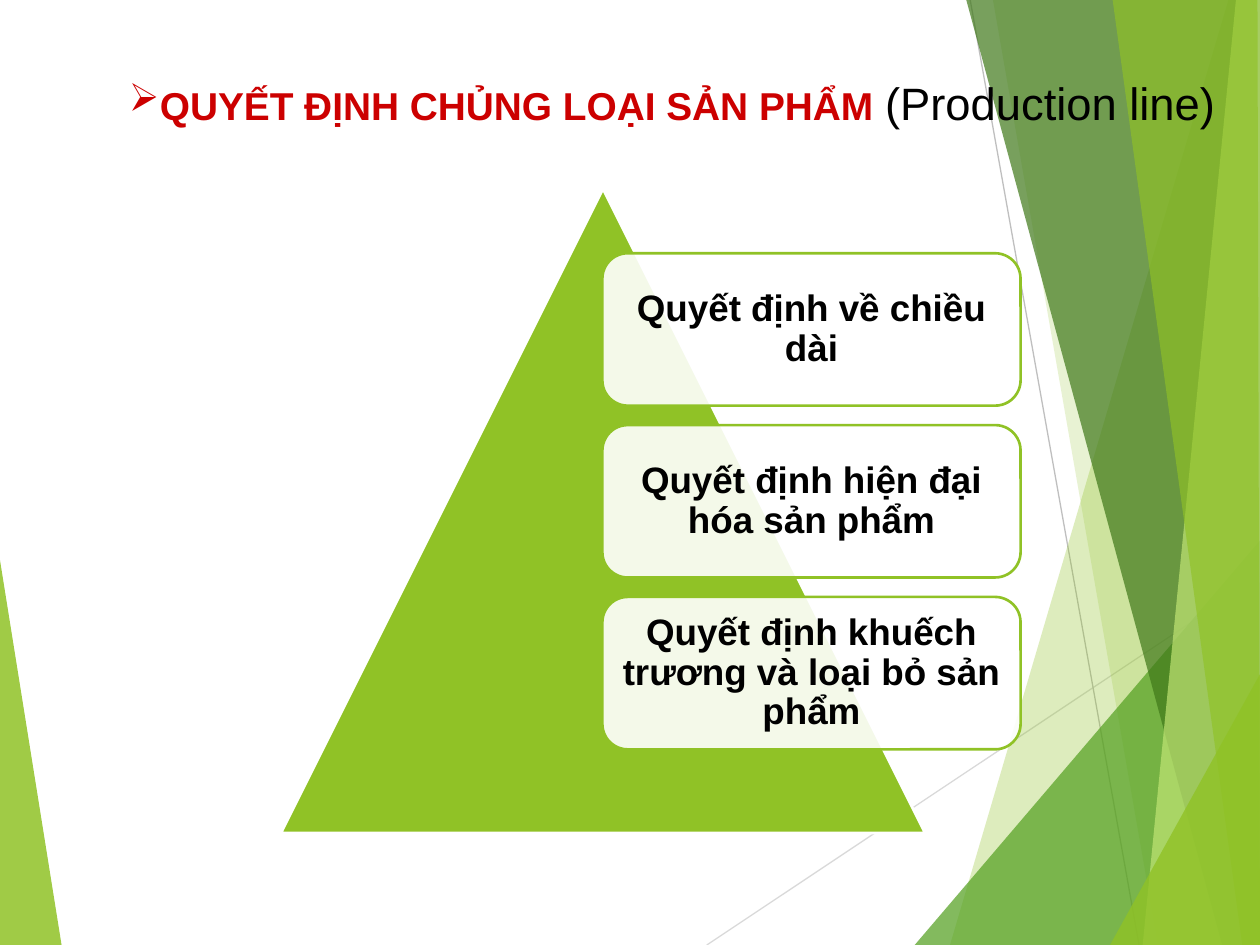
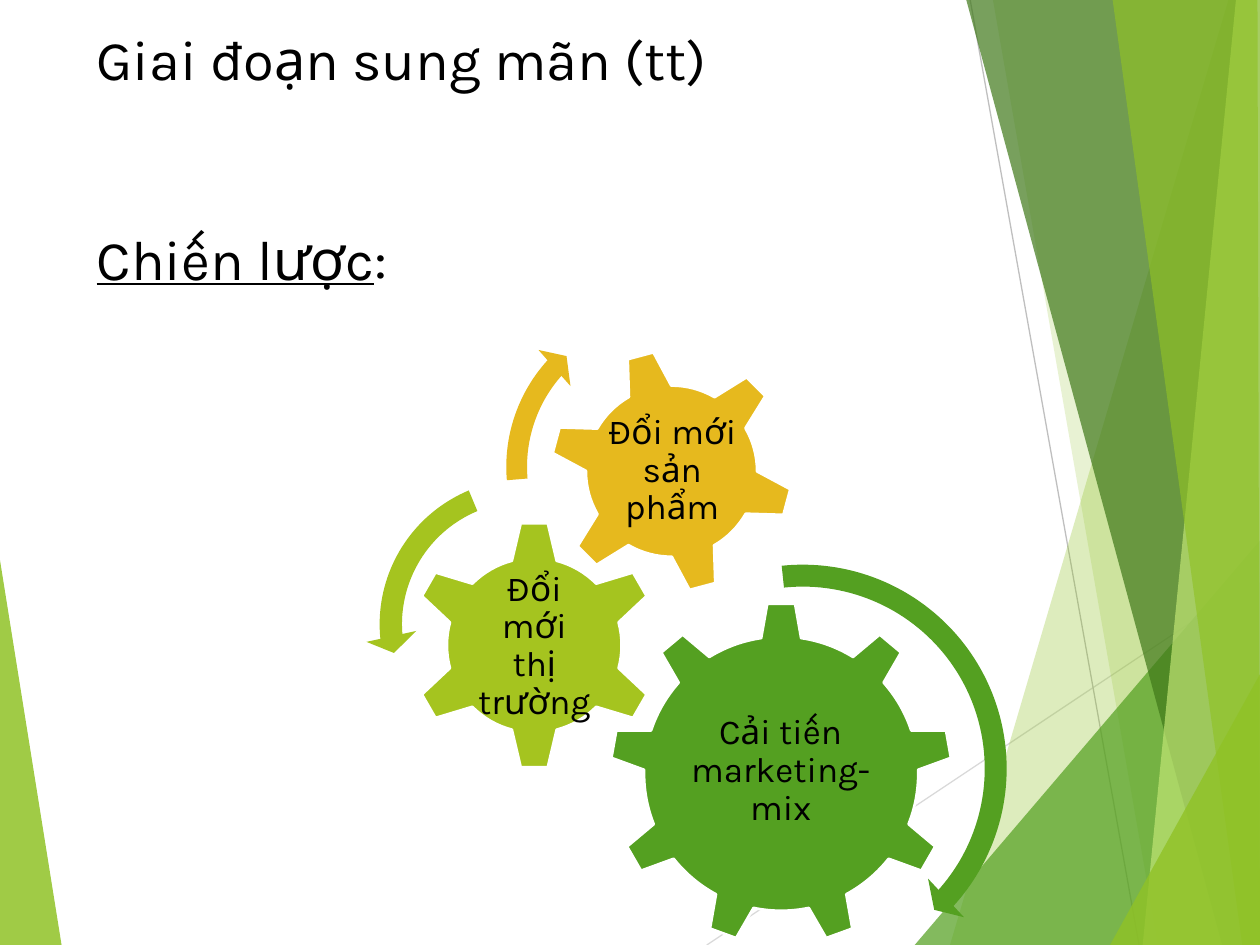
from dataclasses import dataclass

from lxml import etree
from pptx import Presentation
from pptx import util as u
from pptx.dml.color import RGBColor
from pptx.enum import shapes, text
from pptx.oxml.ns import qn

Pt = u.Pt
Kind = shapes.MSO_SHAPE
Align = text.PP_ALIGN
Anchor = text.MSO_ANCHOR


@dataclass(frozen=True)
class Theme:
    lime: str = "90C226"
    green: str = "54A021"
    dark: str = "3F7819"
    pale: str = "C0E474"
    olive: str = "A5C41F"
    gold: str = "E6B91E"
    red: str = "CC0000"
    black: str = "000000"
    white: str = "FFFFFF"
    gray: str = "BFBFBF"
    light: str = "D9D9D9"
    sans: str = "Arial"
    round: str = "Karla"
    title: float = 22.2
    aside: float = 25.9
    card: float = 21
    gear: float = 20
    head: float = 32
    edge: float = 1.5
    hair: float = 0.75


T = Theme()
WIDE, HIGH = 720, 540

# Content: slide 1
TITLE = ("QUYẾT ĐỊNH CHỦNG LOẠI SẢN PHẨM ", "(Production line)")
CARDS = [
    "Quyết định về chiều dài",
    "Quyết định hiện đại hóa sản phẩm",
    "Quyết định khuếch trương và loại bỏ sản phẩm",
]

# Content: slide 2
HEADS = [["Giai đoạn sung mãn (tt)"], ["Chiến lược", ":"]]
# words, word box, gear kind, gear box, turn, colour
GEARS = [
    ("Cải tiến marketing-mix", (387.4, 390.2, 117.4, 100.8),
     Kind.GEAR_9, (348.5, 344.2, 195.8, 195.8), 0, T.green),
    ("Đổi mới thị trường", (270, 334.1, 70.6, 70.6),
     Kind.GEAR_6, (234, 297.4, 142.6, 142.6), 0, T.olive),
    ("Đổi mới sản phẩm", (344.9, 229.7, 78.5, 78.5),
     Kind.GEAR_6, (313.9, 199.4, 139.7, 139.7), 345, T.gold),
]
# kind, left, top, size, adjustments, colour
ARROWS = [
    (Kind.CIRCULAR_ARROW, 333.4, 313.9, 250.6,
     (0.05, 2.99, 25.24, 158.45, 0.06), T.green),
    (Kind.LEFT_CIRCULAR_ARROW, 208.8, 265.7, 182.2,
     (0.07, 4.3, 104.89, 148.38, 0.08), T.olive),
    (Kind.CIRCULAR_ARROW, 281.5, 168.5, 196.6,
     (0.06, 3.94, 133.14, 105.08, 0.07), T.gold),
]

# Shared backdrop: colour, opacity in percent, corners
WEDGE = (T.lime, 85, [(0, 320), (35.2, HIGH), (0, HIGH)])
RAYS = [
    (T.light, (403.9, HIGH), (WIDE, 329.4)),
    (T.gray, (554.4, 0), (650.9, HIGH)),
]
BANDS = [
    (T.lime, 30, [(702, 0), (542.9, HIGH), (WIDE, HIGH), (WIDE, 0)]),
    (T.lime, 20, [(567.4, 0), (661.7, HIGH), (WIDE, HIGH), (WIDE, 0)]),
    (T.green, 72, [(522.7, HIGH), (WIDE, 308.9), (WIDE, HIGH)]),
    (T.dark, 70, [(552.2, 0), (698.4, HIGH), (WIDE, HIGH), (WIDE, 0)]),
    (T.pale, 70, [(706.3, 0), (653, HIGH), (WIDE, HIGH), (WIDE, 0)]),
    (T.lime, 65, [(635.8, 0), (709.9, HIGH), (WIDE, HIGH), (718.6, 0)]),
    (T.lime, 80, [(634.3, HIGH), (WIDE, 385.2), (WIDE, HIGH)]),
]


def rgb(code):
    return RGBColor.from_string(code)


def paint(shape, color, alpha=100, edge=None):
    shape.shadow.inherit = False
    shape.fill.solid()
    shape.fill.fore_color.rgb = rgb(color)
    if alpha < 100:
        tint = shape.element.spPr.find(qn("a:solidFill"))[0]
        etree.SubElement(tint, qn("a:alpha")).set("val", str(alpha * 1000))
    if edge:
        shape.line.color.rgb = rgb(edge)
        shape.line.width = Pt(T.edge)
    else:
        shape.line.fill.background()


def put(slide, kind, box, color, alpha=100, edge=None):
    shape = slide.shapes.add_shape(kind, *map(Pt, box))
    paint(shape, color, alpha, edge)
    return shape


def box_at(slide, box):
    return slide.shapes.add_textbox(*map(Pt, box))


def frame(shape, anchor, side, top):
    body = shape.text_frame
    body.word_wrap = True
    body.vertical_anchor = anchor
    body.margin_left = body.margin_right = Pt(side)
    body.margin_top = body.margin_bottom = Pt(top)
    return body


def style(run, name, size, color=T.black, bold=False):
    font = run.font
    font.name, font.size, font.bold = name, Pt(size), bold
    font.color.rgb = rgb(color)


def label(shape, words, pad, name, size, bold=False):
    body = frame(shape, Anchor.MIDDLE, pad, pad)
    body.text = words
    line = body.paragraphs[0]
    line.alignment = Align.CENTER
    line.line_spacing = 0.9
    style(line.runs[0], name, size, bold=bold)


def band(slide, color, alpha, spots):
    start, *rest = [(Pt(x), Pt(y)) for x, y in spots]
    pen = slide.shapes.build_freeform(*start)
    pen.add_line_segments(rest, close=True)
    paint(pen.convert_to_shape(), color, alpha)


def ray(slide, color, start, end):
    line = slide.shapes.add_connector(
        shapes.MSO_CONNECTOR.STRAIGHT, *map(Pt, start + end))
    line.line.color.rgb = rgb(color)
    line.line.width = Pt(T.hair)
    etree.SubElement(line.element.spPr, qn("a:effectLst"))


def new_slide(deck):
    slide = deck.slides.add_slide(deck.slide_layouts[6])
    band(slide, *WEDGE)
    for item in RAYS:
        ray(slide, *item)
    for item in BANDS:
        band(slide, *item)
    return slide


def line_slide(deck):
    slide = new_slide(deck)

    # Title with an arrow bullet
    body = frame(box_at(slide, (66.2, 36, 635.8, 41.8)), Anchor.BOTTOM, 4, 3.6)
    line = body.paragraphs[0]
    line.alignment = Align.CENTER
    mark = etree.SubElement(line._p.get_or_add_pPr(), qn("a:buChar"))
    mark.set("char", "➢")
    looks = [(T.title, T.red, True), (T.aside, T.black, False)]
    for words, look in zip(TITLE, looks):
        run = line.add_run()
        run.text = words
        style(run, T.sans, *look)

    # Pyramid and its cards
    put(slide, Kind.ISOSCELES_TRIANGLE, (160.6, 108, 368, 368),
        T.lime, edge=T.white)
    left, top, wide, high, step = 344.2, 144.7, 239, 87.1, 98.2
    for i, words in enumerate(CARDS):
        card = put(slide, Kind.ROUNDED_RECTANGLE,
                   (left, top + i * step, wide, high), T.white, 90, T.lime)
        label(card, words, 6.5, T.sans, T.card, bold=True)


def gear_slide(deck):
    slide = new_slide(deck)

    # Gears with their words
    for words, spot, kind, box, turn, color in GEARS:
        gear = put(slide, kind, box, color, edge=T.white)
        gear.rotation = turn
        label(box_at(slide, spot), words, 2.2, T.round, T.gear)

    # Turning arrows
    for kind, left, top, size, bends, color in ARROWS:
        arrow = put(slide, kind, (left, top, size, size), color)
        for i, bend in enumerate(bends):
            arrow.adjustments[i] = bend

    # Headings, two lines apart
    body = frame(box_at(slide, (48.2, 30.2, 648, 120.2)), Anchor.MIDDLE, 7.2, 3.6)
    for i, parts in enumerate(HEADS):
        line = body.add_paragraph() if i else body.paragraphs[0]
        if i:
            line.space_before = Pt(76)
        for words in parts:
            run = line.add_run()
            run.text = words
            style(run, T.round, T.head)
    body.paragraphs[1].runs[0].font.underline = True


def main():
    deck = Presentation()
    deck.slide_width, deck.slide_height = Pt(WIDE), Pt(HIGH)
    line_slide(deck)
    gear_slide(deck)
    deck.save("out.pptx")


if __name__ == "__main__":
    main()
